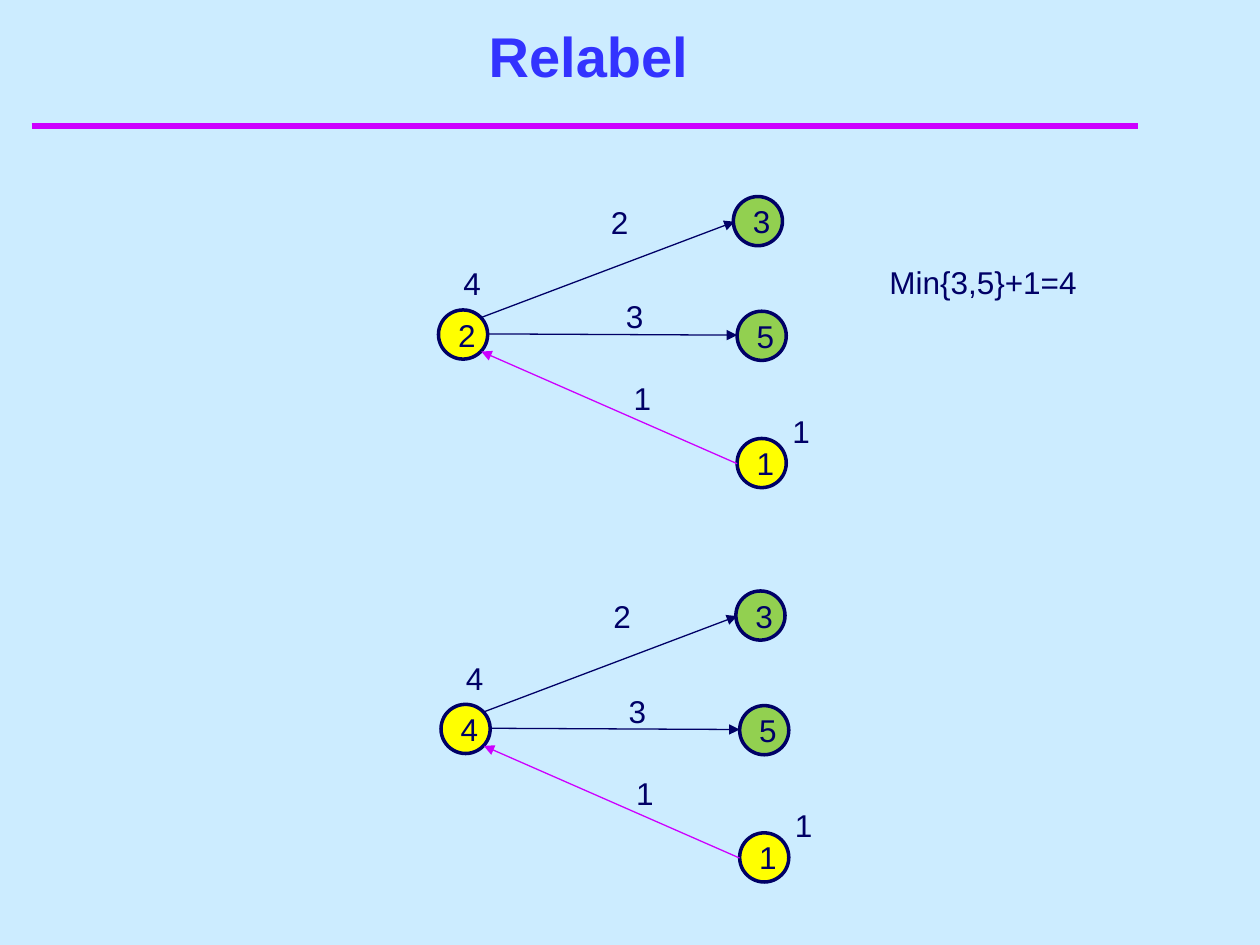
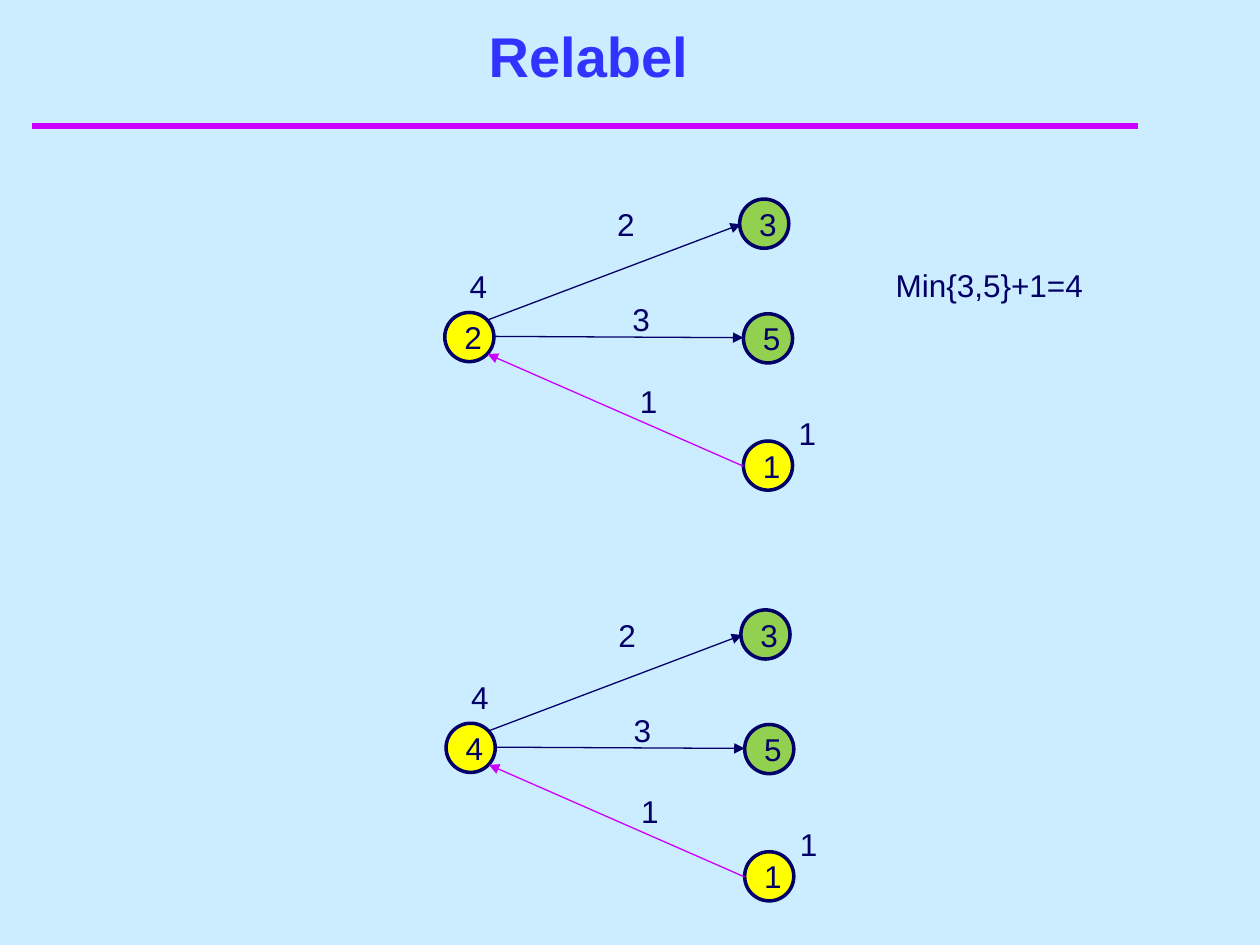
from lxml.etree import SubElement
from pptx import Presentation
from pptx.dml.color import RGBColor
from pptx.enum.shapes import MSO_CONNECTOR, MSO_SHAPE
from pptx.enum.text import MSO_ANCHOR, MSO_AUTO_SIZE, PP_ALIGN
from pptx.oxml.ns import qn
from pptx.util import Emu, Pt

# Shared look
SCALE = 9144  # EMU per px, 100 px to the inch
COLORS = {
    "background": "CCECFF",
    "title": "3333FF",
    "ink": "000066",
    "accent": "CC00FF",
    "active": "FFFF00",
    "neighbor": "92D050",
}
TITLE_FONT = {"name": "Arial", "size": Pt(32), "bold": True}
BODY_FONT = {"name": "Arial", "size": Pt(18), "bold": False}
TITLE_FRAME = {"word_wrap": True, "vertical_anchor": MSO_ANCHOR.BOTTOM}
NODE_FRAME = {"word_wrap": True, "vertical_anchor": MSO_ANCHOR.MIDDLE}
LABEL_FRAME = {"word_wrap": False, "auto_size": MSO_AUTO_SIZE.SHAPE_TO_FIT_TEXT}
NODE_SIZE = 39
LABEL_SIZE = (34, 40)

# Graph layout, measured from the corner of the relabeled node
NEIGHBORS = [
    ("3", 234, -90, "neighbor"),
    ("5", 237, 1, "neighbor"),
    ("1", 237, 102, "active"),
]
EDGES = [
    ((34, 6), (235, -70), "ink"),
    ((40, 19), (237, 20), "ink"),
    ((237, 122), (34, 33), "accent"),
]
LABELS = [
    ("4", 10, -41),
    ("2", 127, -90),
    ("3", 139, -15),
    ("1", 145, 50),
    ("1", 271, 76),
]

# Each slide: corner and height value of the graph before and after relabeling
SLIDES = [
    [(348, 246, "2"), (350, 559, "4")],
    [(353, 248, "2"), (354, 574, "4")],
]


def px(*lengths):
    return [Emu(length * SCALE) for length in lengths]


def color(name):
    return RGBColor.from_string(COLORS[name])


def set_values(target, values):
    for name, value in values.items():
        setattr(target, name, value)


def write_text(box, text, font, frame, ink="ink", alignment=None):
    set_values(box.text_frame, frame)
    para = box.text_frame.paragraphs[0]
    para.alignment = alignment
    span = para.add_run()
    span.text = text
    set_values(span.font, font)
    span.font.color.rgb = color(ink)


def add_line(page, start, end, ink, width, arrow=False):
    line = page.shapes.add_connector(MSO_CONNECTOR.STRAIGHT, *px(*start, *end))
    line.line.color.rgb = color(ink)
    line.line.width = Pt(width)
    if arrow:
        SubElement(line.line._get_or_add_ln(), qn("a:tailEnd"), type="triangle")
    SubElement(line._element.spPr, qn("a:effectLst"))


def add_node(page, left, top, value, fill):
    node = page.shapes.add_shape(
        MSO_SHAPE.OVAL, *px(left, top, NODE_SIZE, NODE_SIZE))
    node.shadow.inherit = False
    node.fill.solid()
    node.fill.fore_color.rgb = color(fill)
    node.line.color.rgb = color("ink")
    node.line.width = Pt(2)
    write_text(node, value, BODY_FONT, NODE_FRAME, alignment=PP_ALIGN.CENTER)


def add_label(page, left, top, text, size=LABEL_SIZE):
    box = page.shapes.add_textbox(*px(left, top, *size))
    write_text(box, text, BODY_FONT, LABEL_FRAME)


def add_graph(page, left, top, value):
    add_node(page, left, top, value, "active")
    for text, right, down, fill in NEIGHBORS:
        add_node(page, left + right, top + down, text, fill)
    for start, end, ink in EDGES:
        points = [(left + right, top + down) for right, down in (start, end)]
        add_line(page, *points, ink, 0.75, arrow=True)
    for text, right, down in LABELS:
        add_label(page, left + right, top + down, text)


def add_page(deck, title):
    page = deck.slides.add_slide(deck.slide_layouts[6])
    page.background.fill.solid()
    page.background.fill.fore_color.rgb = color("background")
    add_line(page, (25, 100), (903, 100), "accent", 4)
    box = page.shapes.add_textbox(*px(42, 17, 850, 58))
    write_text(box, title, TITLE_FONT, TITLE_FRAME, "title", PP_ALIGN.CENTER)
    return page


def main():
    deck = Presentation()
    deck.slide_width, deck.slide_height = px(1000, 750)
    for graphs in SLIDES:
        page = add_page(deck, "Relabel")
        for graph in graphs:
            add_graph(page, *graph)
        # Relabel rule beside the upper graph
        left, top, _ = graphs[0]
        add_label(page, left + 348, top - 42, "Min{3,5}+1=4", (169, 40))
    deck.save("out.pptx")


if __name__ == "__main__":
    main()
